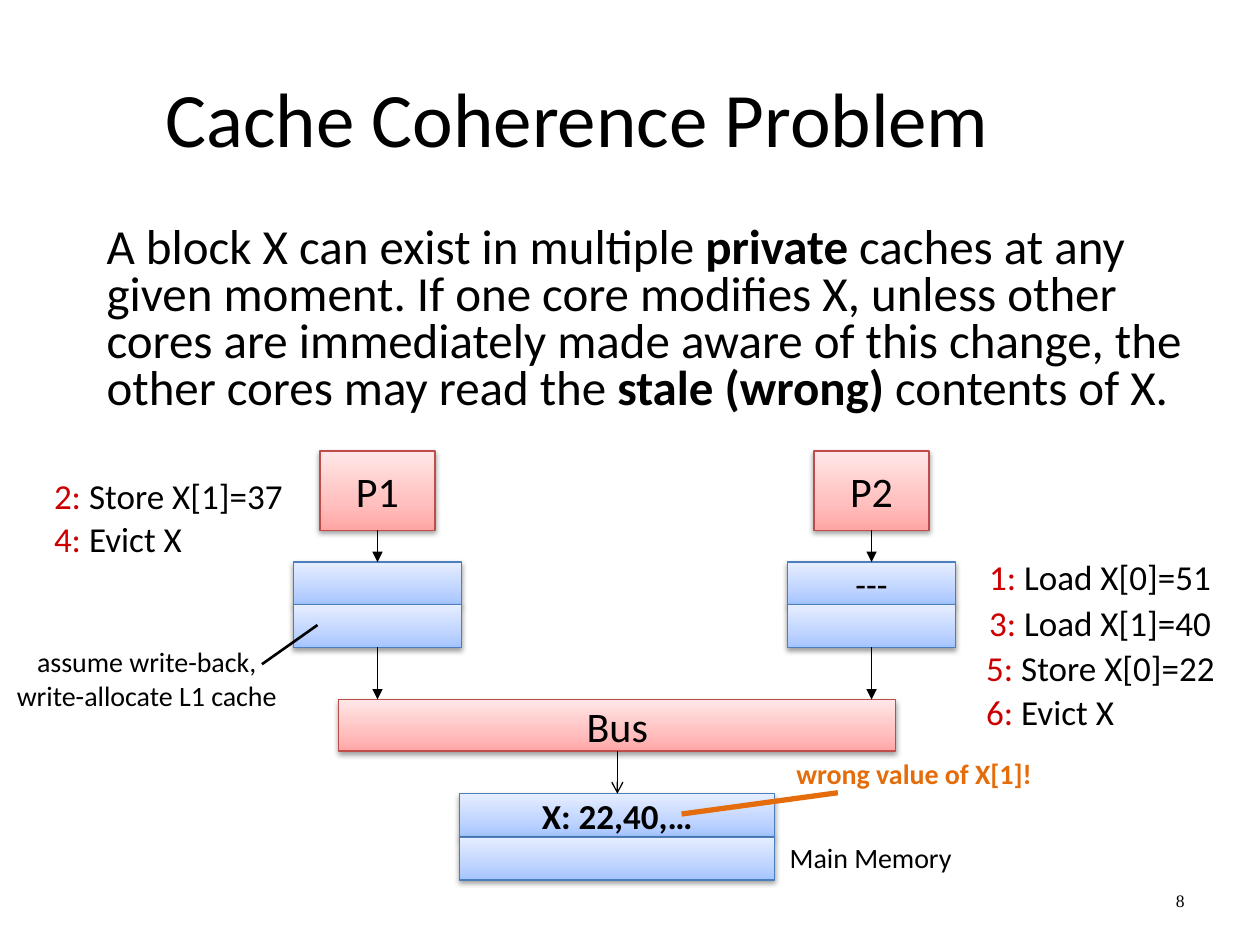
from lxml import etree
from pptx import Presentation
from pptx import util as u
from pptx.dml import color
from pptx.enum import shapes, text
from pptx.oxml import ns

HUES = {"ink": "000000", "step": "CC0000", "warn": "E46C0A"}
STYLES = {
    "red": {"line": "BF4C48", "stops": ((0, "FFA6A5"), (35, "FFC0BF"), (100, "FFE7E7"))},
    "blue": {"line": "4B7EBC", "stops": ((0, "A4C4FF"), (35, "BFD4FF"), (100, "E6EEFF"))},
}

# Content: a run is (words, hue, bold)
TITLE = "Cache Coherence Problem"
BODY = [("A block X can exist in multiple ", "ink", False), ("private", "ink", True),
        (" caches at any given moment. If one core modifies X, unless other cores are "
         "immediately made aware of this change, the other cores may read the ", "ink", False),
        ("stale (wrong) ", "ink", True), ("contents of X.", "ink", False)]
CORES = [("P1", ""), ("P2", "---")]  # core, first cache row
STEPS = [  # number, action, left, top, width
    ("1: ", "Load X[0]=51", 19.69, 11.07, 5.03),
    ("2: ", "Store X[1]=37", 0.84, 9.45, 5.16),
    ("3: ", "Load X[1]=40", 19.69, 12.01, 5.03),
    ("4: ", "Evict X", 0.84, 10.31, 3.12),
    ("5: ", "Store X[0]=22", 19.63, 12.9, 5.16),
    ("6: ", "Evict X", 19.63, 13.79, 3.12),
]
ROW, GAP = 0.86, 0.88  # row height and row step
LEFT, PITCH = 7.61, 9.96  # centre of the first core, distance between cores

deck = Presentation()
deck.slide_width, deck.slide_height = u.Cm(25.4), u.Cm(19.05)
slide = deck.slides.add_slide(deck.slide_layouts[6])


def rgb(hue):
    return color.RGBColor.from_string(hue)


def sub(node, tag, **attrs):
    return etree.SubElement(node, ns.qn(tag), attrs)


def write(frame, paras, size, font="Calibri", para=None, **form):
    """Fill a text frame with paragraphs, each a list of runs."""
    for key, val in form.items():
        setattr(frame, key, val)
    for i, runs in enumerate(paras):
        par = frame.add_paragraph() if i else frame.paragraphs[0]
        for key, val in (para or {}).items():
            setattr(par, key, val)
        for words, hue, bold in runs:
            run = par.add_run()
            run.text = words
            for key, val in {"name": font, "size": u.Pt(size), "bold": bold}.items():
                setattr(run.font, key, val)
            run.font.color.rgb = rgb(HUES[hue])


def label(spot, paras, size, **form):
    box = slide.shapes.add_textbox(*map(u.Cm, spot))
    write(box.text_frame, paras, size, **form)


def block(spot, style, words="", size=24, bold=False):
    """Rectangle with a vertical gradient and a soft shadow."""
    box = slide.shapes.add_shape(shapes.MSO_SHAPE.RECTANGLE, *map(u.Cm, spot))
    look = STYLES[style]
    box.fill.gradient()
    box.fill.gradient_angle = 90
    props = box._element.spPr
    stops = props.find(".//" + ns.qn("a:gsLst"))
    for old in list(stops):
        stops.remove(old)
    for pos, hue in look["stops"]:
        sub(sub(stops, "a:gs", pos=str(pos * 1000)), "a:srgbClr", val=hue)
    box.line.color.rgb = rgb(look["line"])
    box.line.width = u.Pt(0.75)
    box.shadow.inherit = False
    shade = sub(props.find(ns.qn("a:effectLst")), "a:outerShdw", blurRad=str(u.Pt(3.1)),
                dist=str(u.Pt(1.6)), dir="5400000", rotWithShape="0")
    sub(sub(shade, "a:srgbClr", val="000000"), "a:alpha", val="38000")
    if words:
        write(box.text_frame, [[(words, "ink", bold)]], size, para=MID,
              word_wrap=False, vertical_anchor=text.MSO_ANCHOR.MIDDLE)
    return box


def link(ends, hue="ink", width=1, head=None, start=None, stop=None):
    """Straight line, joined to a bottom side and a top side where given."""
    line = slide.shapes.add_connector(shapes.MSO_CONNECTOR.STRAIGHT, *map(u.Cm, ends))
    if start:
        line.begin_connect(start, 2)
    if stop:
        line.end_connect(stop, 0)
    line.line.color.rgb = rgb(HUES[hue])
    line.line.width = u.Pt(width)
    props = line._element.spPr
    if head:
        sub(props.find(ns.qn("a:ln")), "a:tailEnd", type=head)
    sub(props, "a:effectLst")


MID = {"alignment": text.PP_ALIGN.CENTER}
CALM = {"word_wrap": True, "vertical_anchor": text.MSO_ANCHOR.MIDDLE}

# Title, body and page number
label((1.27, 0.76, 20.75, 3.18), [[(TITLE, "ink", False)]], 44, para=MID, **CALM)
label((1.9, 4.45, 23.09, 3.61), [BODY], 28, para={"line_spacing": 0.8}, word_wrap=True)
label((21.16, 17.65, 2.97, 1.02), [[("8", "ink", False)]], 10, font="Times New Roman",
      para={"alignment": text.PP_ALIGN.RIGHT}, **CALM)

# Bus and main memory
bus = block((6.83, 14.1, 11.23, 1.04), "red", "Bus")
mem = block((9.27, 16, 6.35, ROW), "blue", "X: 22,40,…", 20, True)
block((9.27, 16 + GAP, 6.35, ROW), "blue")
link((12.44, 15.14, 12.44, 16), width=0.75, head="arrow", start=bus, stop=mem)
label((15.67, 16.81, 3.81, 0.94), [[("Main Memory", "ink", False)]], 16, word_wrap=False)

# Cores with their caches
for i, (name, value) in enumerate(CORES):
    mid = LEFT + i * PITCH
    core = block((mid - 1.16, 9.09, 2.32, 1.6), "red", name)
    top = block((mid - 1.69, 11.33, 3.38, ROW), "blue", value, 20)
    low = block((mid - 1.69, 11.33 + ROW, 3.38, ROW), "blue")
    link((mid, 10.69, mid, 11.33), head="triangle", start=core, stop=top)
    link((mid, 13.05, mid, 14.1), head="triangle", start=low)

# Numbered steps
for num, act, x, y, w in STEPS:
    label((x, y, w, 1.11), [[(num, "step", False), (act, "ink", False)]], 20, word_wrap=False)

# Remarks with their pointers
label((-0.43, 12.9, 6.78, 1.55), [[("assume write-back,", "ink", False)],
      [("write-allocate L1 cache", "ink", False)]], 16, para=MID, **CALM)
link((5.28, 13.39, 6.4, 12.6), width=1.5)
label((15.04, 14.81, 6.78, 1.55), [[("wrong value of X[1]!", "warn", True)]], 16,
      para=MID, **CALM)
link((13.74, 16.41, 16.89, 15.98), "warn", 3)

deck.save("out.pptx")
